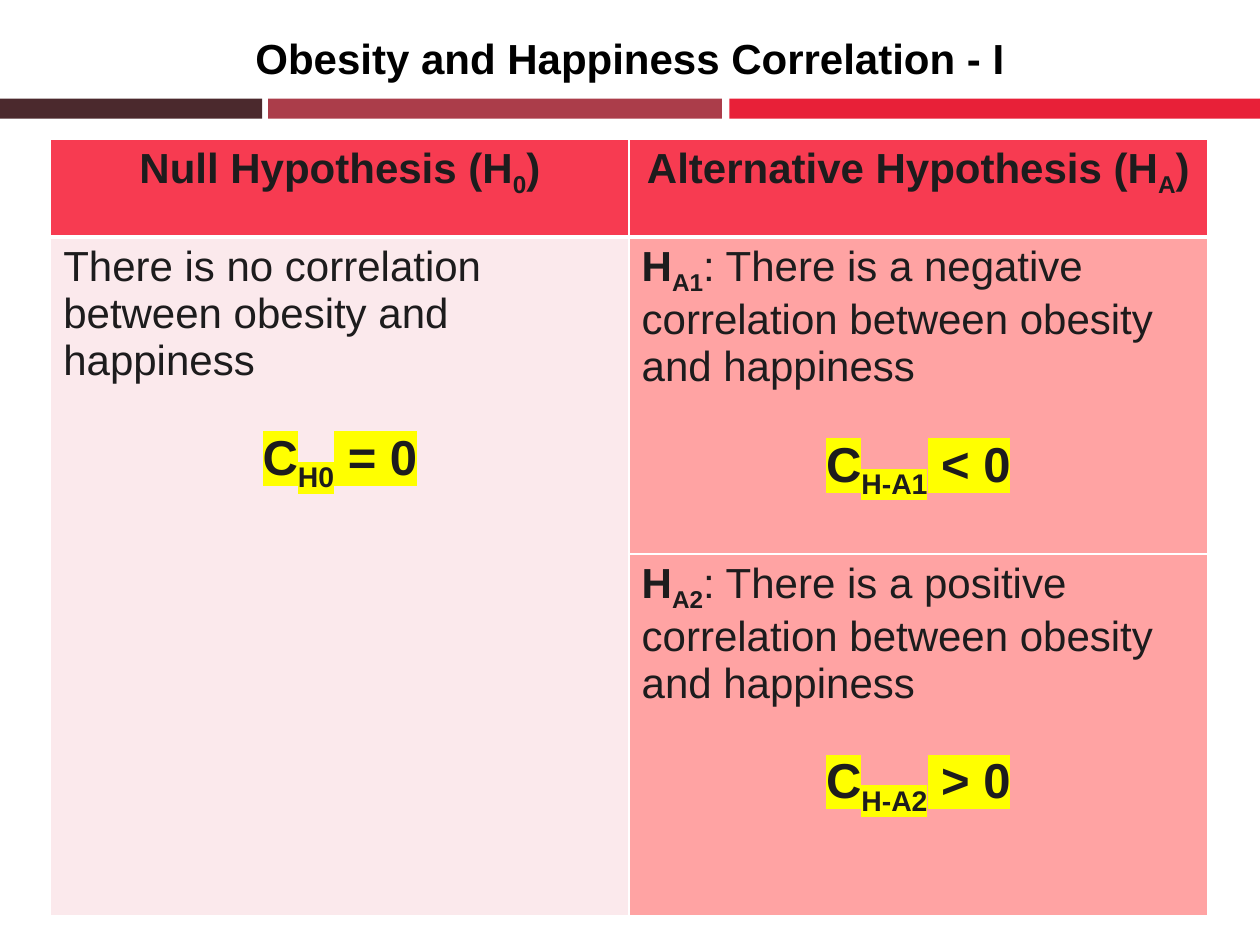
from pptx import Presentation
from pptx.util import Pt
from pptx.dml.color import RGBColor as RGB
from pptx.enum.shapes import MSO_SHAPE as SHAPE
from pptx.enum.text import PP_ALIGN as ALIGN, MSO_ANCHOR as ANCHOR
from pptx.oxml.ns import qn
from lxml.etree import SubElement as Sub, Element

COLORS = dict(black="000000", ink="1D1C1D", white="FFFFFF", mark="FFFF00",
              brown="4B292D", rose="AB3D4A", red="E82038",
              head="F73B51", pale="FBE9EC", pink="FFA3A3")
FONT = "Arial"
TITLE = "Obesity and Happiness Correlation - I"
BARS = [(0, 149.75, "brown"), (153.25, 259.25, "rose"), (416.75, 303.25, "red")]

# Runs are (text, style): b bold, s subscript, h highlight
HEADS = [
    [("Null Hypothesis (H", "b"), ("0", "bs"), (")", "b")],
    [("Alternative Hypothesis (H", "b"), ("A", "bs"), (")", "b")],
]
# (row, column, fill, statement, subscript of C, relation)
CLAIMS = [
    (1, 0, "pale", [("There is no correlation between obesity and happiness", "")],
     "H0", " = 0"),
    (1, 1, "pink", [("H", "b"), ("A1", "bs"),
     (": There is a negative correlation between obesity and happiness", "")],
     "H-A1", " < 0"),
    (2, 1, "pink", [("H", "b"), ("A2", "bs"),
     (": There is a positive correlation between obesity and happiness", "")],
     "H-A2", " > 0"),
]
LEFT, TOP, COL = 29, 79.5, 330.5
ROWS = [56, 181, 207]


def color(name):
    return RGB.from_string(COLORS[name])


def write(para, runs, size, align=ALIGN.LEFT, ink="ink"):
    para.alignment = align
    para.font.name, para.font.size = FONT, Pt(size)
    for text, style in runs:
        run = para.add_run()
        run.text = text
        run.font.bold = "b" in style
        run.font.color.rgb = color(ink)
        props = run.font._element
        if "s" in style:
            props.set("baseline", "-25000")
        if "h" in style:
            mark = Sub(props, qn("a:highlight"))
            Sub(mark, qn("a:srgbClr"), val=COLORS["mark"])


def edge(cell, widths):
    props = cell._tc.get_or_add_tcPr()
    for spot, (side, width) in enumerate(widths.items()):
        line = Element(qn("a:ln" + side), w=str(Pt(width)))
        Sub(Sub(line, qn("a:solidFill")), qn("a:srgbClr"), val=COLORS["white"])
        props.insert(spot, line)


def paint(cell, fill):
    cell.fill.solid()
    cell.fill.fore_color.rgb = color(fill)


deck = Presentation()
deck.slide_width, deck.slide_height = Pt(720), Pt(540)
slide = deck.slides.add_slide(deck.slide_layouts[6])

# Colour bars
for left, width, fill in BARS:
    bar = slide.shapes.add_shape(SHAPE.RECTANGLE, Pt(left), Pt(56.4), Pt(width), Pt(11.4))
    bar.shadow.inherit = False
    bar.fill.solid()
    bar.fill.fore_color.rgb = color(fill)
    bar.line.fill.background()

# Title
box = slide.shapes.add_textbox(Pt(12), Pt(2.5), Pt(696), Pt(60.5))
frame = box.text_frame
frame.word_wrap = True
frame.vertical_anchor = ANCHOR.MIDDLE
write(frame.paragraphs[0], [(TITLE, "b")], 24, ALIGN.CENTER, "black")

# Table
table = slide.shapes.add_table(len(ROWS), len(HEADS), Pt(LEFT), Pt(TOP),
                               Pt(COL * len(HEADS)), Pt(sum(ROWS))).table
table.first_row = table.horz_banding = False
for col in table.columns:
    col.width = Pt(COL)
for row, height in zip(table.rows, ROWS):
    row.height = Pt(height)
table.cell(1, 0).merge(table.cell(2, 0))

for col, runs in enumerate(HEADS):
    cell = table.cell(0, col)
    write(cell.text_frame.paragraphs[0], runs, 24, ALIGN.CENTER)
    paint(cell, "head")

for row, col, fill, claim, sub, test in CLAIMS:
    cell = table.cell(row, col)
    write(cell.text_frame.paragraphs[0], claim, 24)
    rule = cell.text_frame.add_paragraph()
    rule.space_before = Pt(27)
    write(rule, [("C", "bh"), (sub, "bsh"), (test, "bh")], 28, ALIGN.CENTER)
    paint(cell, fill)

# White borders, thick under the header
for row in range(len(ROWS)):
    for col in range(len(HEADS)):
        edge(table.cell(row, col), dict(L=1, R=1, T=3 if row == 1 else 1,
                                        B=3 if row == 0 else 1))

deck.save("out.pptx")
